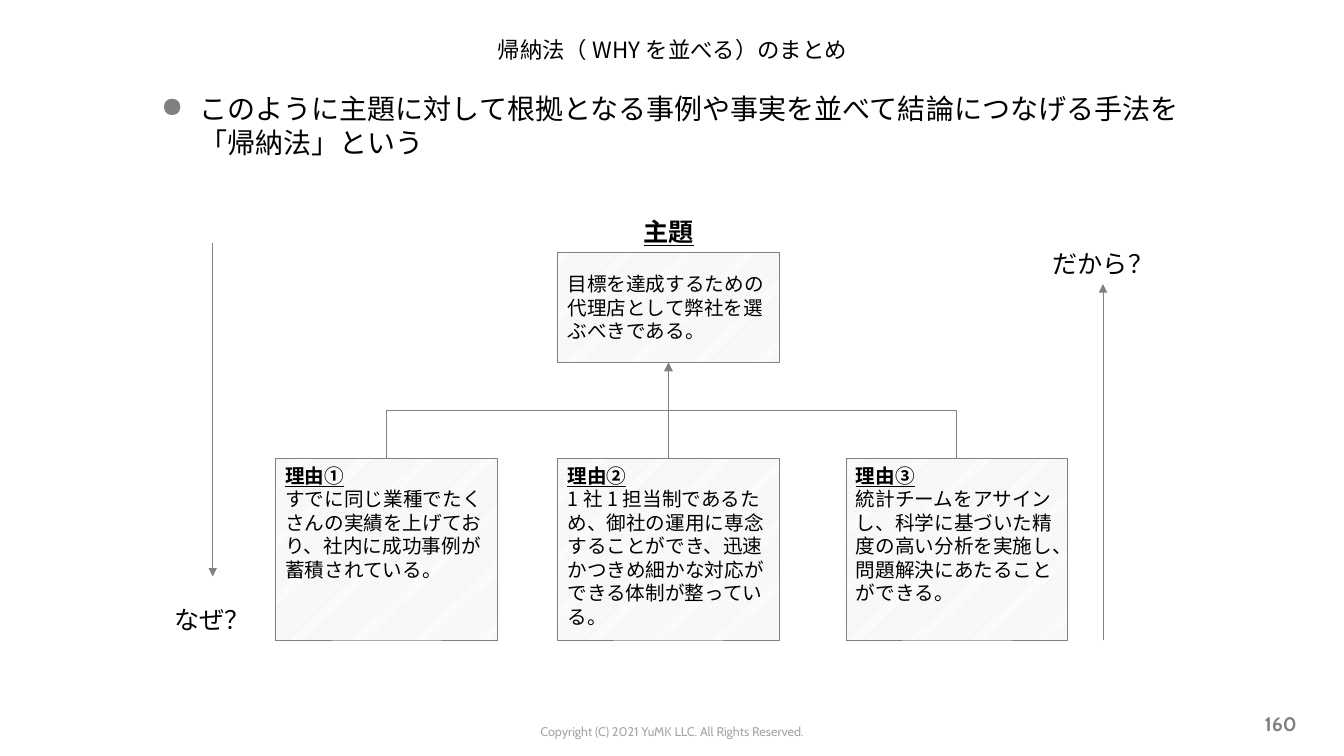
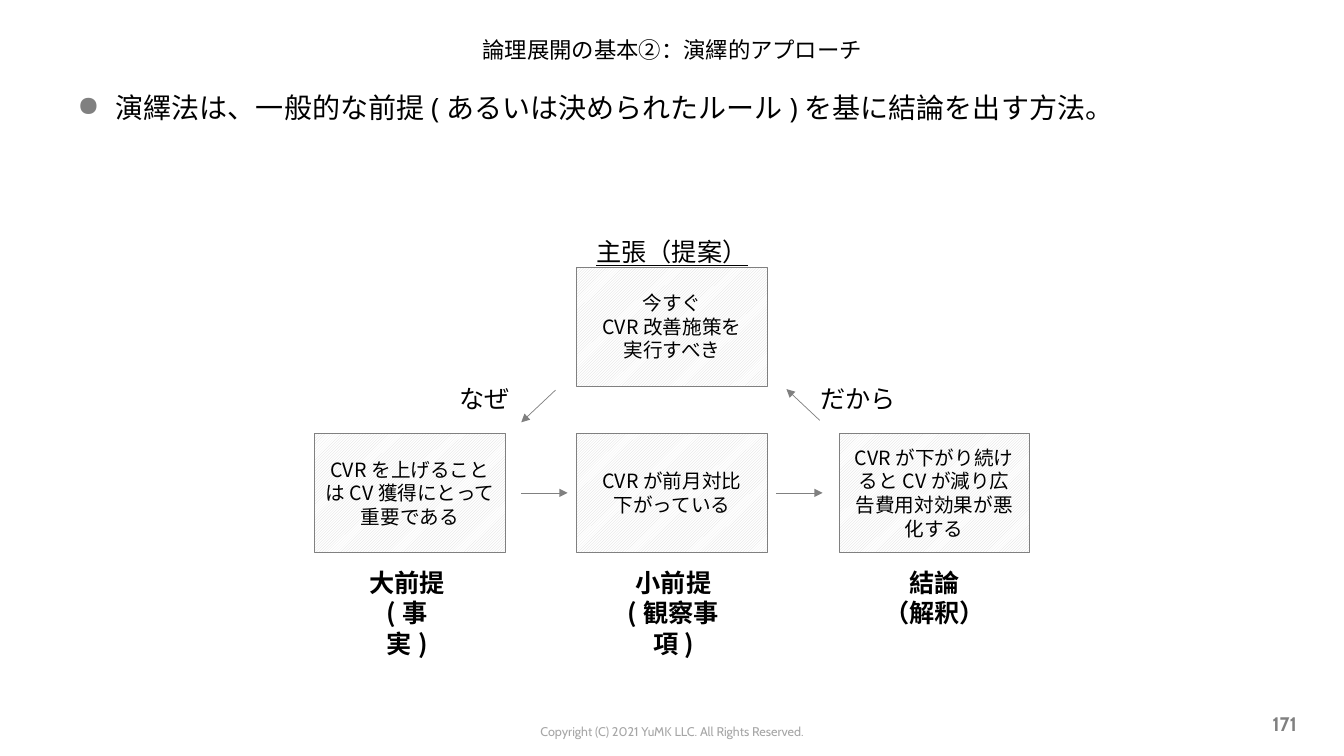
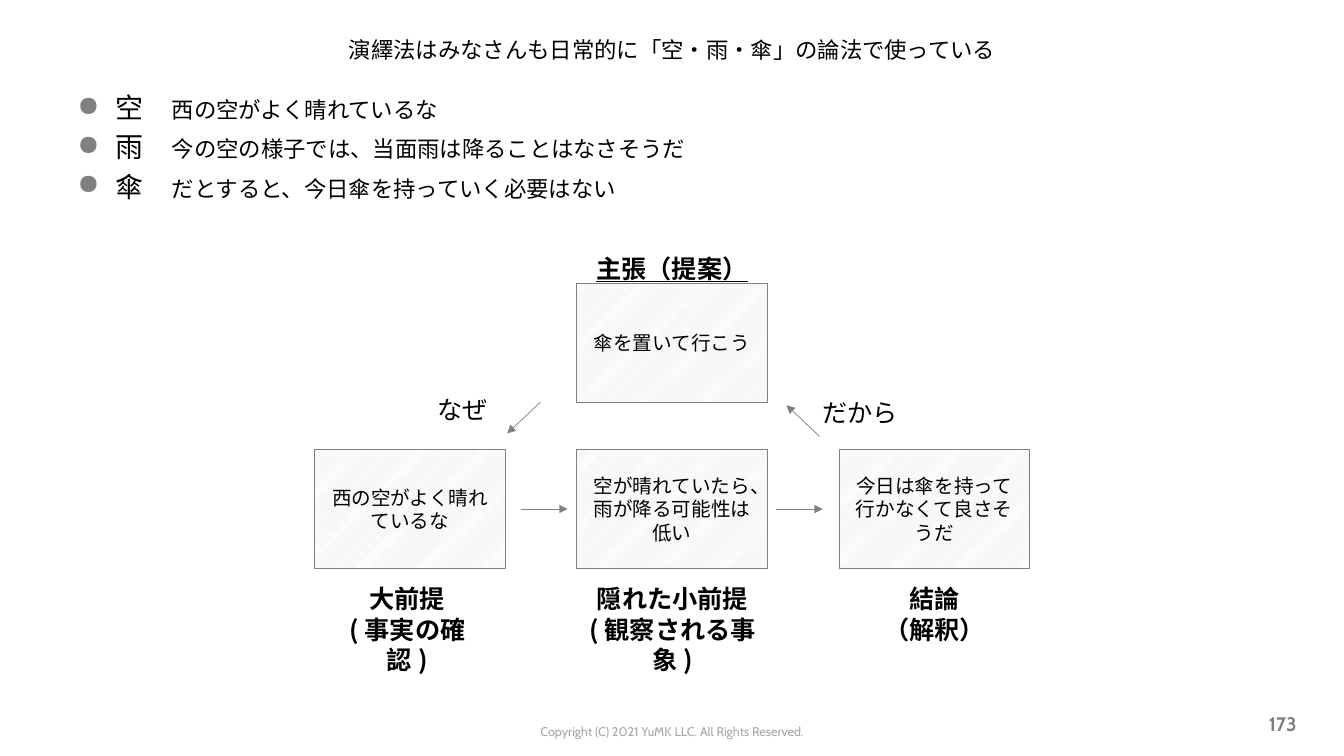
from dataclasses import dataclass
from typing import NamedTuple

from lxml.etree import SubElement
from pptx import Presentation
from pptx.dml.color import RGBColor
from pptx.enum.dml import MSO_PATTERN
from pptx.enum.shapes import MSO_CONNECTOR as LINK, MSO_SHAPE
from pptx.enum.text import MSO_ANCHOR as ANCHOR, MSO_AUTO_SIZE as FIT, PP_ALIGN as ALIGN
from pptx.oxml.ns import qn
from pptx.util import Inches, Pt

# Shared style
BLACK = RGBColor(0x00, 0x00, 0x00)
WHITE = RGBColor(0xFF, 0xFF, 0xFF)
GRAY = RGBColor(0x80, 0x80, 0x80)
HATCH = RGBColor(0xD9, 0xD9, 0xD9)
FOOTER_GRAY = RGBColor(0xA6, 0xA6, 0xA6)
JAPANESE = "Noto Sans CJK JP"
BODY_LATIN = "Open Sans"
FOOTER_FONT = "Cabin"
COPYRIGHT = "Copyright (C) 2021 YuMK LLC. All Rights Reserved."


class Area(NamedTuple):
    left: float
    top: float
    width: float
    height: float


class Point(NamedTuple):
    x: float
    y: float


class Run(NamedTuple):
    text: str
    size: float = 14
    bold: bool = False
    underline: bool = False
    font: str = JAPANESE
    color: RGBColor = BLACK


class Caption(NamedTuple):
    center: float
    width: float
    lines: tuple[str, str]


Paragraphs = list[list[Run]]


@dataclass
class Deduction:
    top: float
    claim: list[str]
    claim_bold: bool
    steps: list[list[str]]
    captions: list[Caption]
    why_label: Point
    why_arrow: tuple[Point, Point]
    so_label: Point


# Text and shape helpers
def write(frame, paragraphs: Paragraphs, align=ALIGN.LEFT, anchor=ANCHOR.TOP,
          bullets: bool = False) -> None:
    frame.vertical_anchor = anchor
    for index, runs in enumerate(paragraphs):
        paragraph = frame.add_paragraph() if index else frame.paragraphs[0]
        if bullets:
            add_bullet(paragraph)
            if index:
                paragraph.space_before = Pt(4)
        paragraph.alignment = align
        for part in runs:
            run = paragraph.add_run()
            run.text = part.text
            font = run.font
            font.size, font.name = Pt(part.size), part.font
            font.bold, font.underline = part.bold, part.underline
            font.color.rgb = part.color
            east_asian = SubElement(run._r.get_or_add_rPr(), qn("a:ea"))
            east_asian.set("typeface", JAPANESE)


def add_bullet(paragraph) -> None:
    properties = paragraph._p.get_or_add_pPr()
    properties.set("marL", str(Inches(0.38)))
    properties.set("indent", str(-Inches(0.38)))
    color = SubElement(properties, qn("a:buClr"))
    SubElement(color, qn("a:srgbClr")).set("val", str(GRAY))
    SubElement(properties, qn("a:buChar")).set("char", "●")


def add_text(slide, area: Area, paragraphs: Paragraphs, align=ALIGN.LEFT,
             anchor=ANCHOR.TOP, bullets: bool = False) -> None:
    frame = slide.shapes.add_textbox(*map(Inches, area)).text_frame
    frame.word_wrap = True
    write(frame, paragraphs, align, anchor, bullets)


def add_label(slide, area: Area, lines: tuple[str, ...], align=ALIGN.LEFT,
              bold: bool = False, underline: bool = False) -> None:
    frame = slide.shapes.add_textbox(*map(Inches, area)).text_frame
    frame.word_wrap = False
    frame.auto_size = FIT.SHAPE_TO_FIT_TEXT
    write(frame, [[Run(line, 18, bold, underline)] for line in lines], align)


def add_box(slide, area: Area, paragraphs: Paragraphs, align=ALIGN.LEFT,
            anchor=ANCHOR.MIDDLE):
    box = slide.shapes.add_shape(MSO_SHAPE.RECTANGLE, *map(Inches, area))
    box.shadow.inherit = False
    box.fill.patterned()
    box.fill.pattern = MSO_PATTERN.LIGHT_UPWARD_DIAGONAL
    box.fill.fore_color.rgb, box.fill.back_color.rgb = HATCH, WHITE
    box.line.color.rgb, box.line.width = GRAY, Pt(0.5)
    box.text_frame.word_wrap = True
    write(box.text_frame, paragraphs, align, anchor)
    return box


def add_arrow(slide, start: Point, end: Point, kind=LINK.STRAIGHT):
    arrow = slide.shapes.add_connector(kind, *map(Inches, (*start, *end)))
    arrow.line.color.rgb, arrow.line.width = GRAY, Pt(0.5)
    SubElement(arrow.line._get_or_add_ln(), qn("a:tailEnd")).set("type", "triangle")
    SubElement(arrow._element.spPr, qn("a:effectLst"))
    return arrow


def add_rising_elbow(slide, start: Point, end: Point) -> None:
    """Elbow that leaves upwards: a sideways one, turned by a quarter."""
    from_left = start.x < end.x
    center = Point((start.x + end.x) / 2, (start.y + end.y) / 2)
    half_rise, half_run = (start.y - end.y) / 2, abs(end.x - start.x) / 2
    side = half_rise if from_left else -half_rise
    elbow = add_arrow(slide, Point(center.x + side, center.y + half_run),
                      Point(center.x - side, center.y - half_run), LINK.ELBOW)
    turn = 90 if from_left else 270
    elbow._element.spPr.find(qn("a:xfrm")).set("rot", str(turn * 60000))


def add_page(deck, title: str, number: int, body: Paragraphs,
             body_area: Area = Area(0.67, 0.85, 12, 5.79)):
    slide = deck.slides.add_slide(deck.slide_layouts[6])
    add_text(slide, Area(4.2, 7.13, 4.93, 0.25),
             [[Run(COPYRIGHT, 9, font=FOOTER_FONT, color=FOOTER_GRAY)]], ALIGN.CENTER)
    add_text(slide, Area(0.67, 0.22, 12, 0.54), [[Run(title, 16)]],
             ALIGN.CENTER, ANCHOR.MIDDLE)
    add_text(slide, Area(9.85, 6.98, 3.11, 0.4),
             [[Run(str(number), 14, True, font=FOOTER_FONT, color=GRAY)]],
             ALIGN.RIGHT, ANCHOR.MIDDLE)
    add_text(slide, body_area, body, bullets=True)
    return slide


# Diagrams
def draw_induction(slide, theme: str, reasons: list[tuple[str, str]]) -> None:
    width, reason_top, reason_height = 2.2, 4.55, 1.8
    theme_area = Area(5.53, 2.5, width, 1.1)
    theme_box = add_box(slide, theme_area, [[Run(theme)]])
    add_label(slide, Area(6.28, 2.1, 0.71, 0.4), ("主題",), ALIGN.CENTER, True, True)
    theme_foot = Point(theme_area.left + width / 2, theme_area.top + theme_area.height)

    for left, (heading, detail) in zip((2.73, 5.53, 8.39), reasons):
        reason_box = add_box(slide, Area(left, reason_top, width, reason_height),
                             [[Run(heading, bold=True, underline=True)], [Run(detail)]],
                             anchor=ANCHOR.TOP)
        reason_head = Point(left + width / 2, reason_top)
        if left == theme_area.left:
            arrow = add_arrow(slide, reason_head, theme_foot)
            arrow.begin_connect(reason_box, 0)
            arrow.end_connect(theme_box, 2)
        else:
            add_rising_elbow(slide, reason_head, theme_foot)

    add_arrow(slide, Point(2.11, 2.41), Point(2.11, 5.72))
    add_label(slide, Area(1.63, 5.95, 0.96, 0.4), ("なぜ？",))
    add_arrow(slide, Point(10.94, 6.35), Point(10.94, 2.82))
    add_label(slide, Area(10.34, 2.41, 1.21, 0.4), ("だから？",))


def draw_deduction(slide, plan: Deduction) -> None:
    left, pitch, width, height = 3.12, 2.6, 1.89, 1.18
    step_top = plan.top + 1.65
    places = [(left + pitch, plan.top)] + [(left + i * pitch, step_top) for i in range(3)]
    for (x, y), lines in zip(places, [plan.claim, *plan.steps]):
        add_box(slide, Area(x, y, width, height), [[Run(line)] for line in lines],
                ALIGN.CENTER)

    add_label(slide, Area(5.8, plan.top - 0.35, 1.73, 0.4), ("主張（提案）",),
              ALIGN.CENTER, plan.claim_bold, True)
    for center, caption_width, lines in plan.captions:
        add_label(slide, Area(center - caption_width / 2, plan.top + 2.93,
                              caption_width, 0.71), lines, ALIGN.CENTER, True)

    # Arrows around the loop
    for x in (5.17, 7.7):
        add_arrow(slide, Point(x, plan.top + 2.24), Point(x + 0.46, plan.top + 2.24))
    add_arrow(slide, Point(8.13, plan.top + 1.52), Point(7.8, plan.top + 1.21))
    add_arrow(slide, *plan.why_arrow)
    add_label(slide, Area(*plan.why_label, 0.71, 0.4), ("なぜ",))
    add_label(slide, Area(*plan.so_label, 0.96, 0.4), ("だから",))


# Content
REASONS = [
    ("理由①", "すでに同じ業種でたくさんの実績を上げており、社内に成功事例が蓄積されている。"),
    ("理由②", "1社1担当制であるため、御社の運用に専念することができ、"
              "迅速かつきめ細かな対応ができる体制が整っている。"),
    ("理由③", "統計チームをアサインし、科学に基づいた精度の高い分析を実施し、"
              "問題解決にあたることができる。"),
]
CONVERSION = Deduction(
    top=2.65,
    claim=["今すぐ", "CVR改善施策を", "実行すべき"],
    claim_bold=False,
    steps=[["CVRを上げることはCV獲得にとって重要である"],
           ["CVRが前月対比", "下がっている"],
           ["CVRが下がり続けるとCVが減り広告費用対効果が悪化する"]],
    captions=[Caption(4.04, 0.96, ("大前提", "(事実)")),
              Caption(6.68, 1.42, ("小前提", "(観察事項)")),
              Caption(9.27, 1.22, ("結論", "（解釈）"))],
    why_label=Point(4.46, 3.75),
    why_arrow=(Point(5.51, 3.87), Point(5.17, 4.19)),
    so_label=Point(8.04, 3.75),
)
UMBRELLA = Deduction(
    top=2.81,
    claim=["傘を置いて行こう"],
    claim_bold=True,
    steps=[["西の空がよく晴れているな"],
           ["空が晴れていたら、雨が降る可能性は低い"],
           ["今日は傘を持って行かなくて良さそうだ"]],
    captions=[Caption(4.04, 1.68, ("大前提", "(事実の確認)")),
              Caption(6.67, 2.2, ("隠れた小前提", "(観察される事象)")),
              Caption(9.27, 1.22, ("結論", "（解釈）"))],
    why_label=Point(4.24, 3.86),
    why_arrow=(Point(5.36, 3.99), Point(5.03, 4.3)),
    so_label=Point(8.06, 3.89),
)
SKY_RAIN_UMBRELLA = [
    ("空　", "西の空がよく晴れているな"),
    ("雨　", "今の空の様子では、当面雨は降ることはなさそうだ"),
    ("傘　", "だとすると、今日傘を持っていく必要はない"),
]


def main() -> None:
    deck = Presentation()
    deck.slide_width, deck.slide_height = Inches(13.33), Inches(7.5)

    induction = add_page(
        deck, "帰納法（WHYを並べる）のまとめ", 160,
        [[Run("このように主題に対して根拠となる事例や事実を並べて"
              "結論につなげる手法を「帰納法」という", 20)]],
        Area(1.5, 0.86, 10.34, 5.79))
    draw_induction(induction, "目標を達成するための代理店として弊社を選ぶべきである。", REASONS)

    conversion = add_page(
        deck, "論理展開の基本②：演繹的アプローチ", 171,
        [[Run("演繹法は、一般的な前提(あるいは決められたルール)を基に結論を出す方法。",
              20, font=BODY_LATIN)]])
    draw_deduction(conversion, CONVERSION)

    umbrella = add_page(
        deck, "演繹法はみなさんも日常的に「空・雨・傘」の論法で使っている", 173,
        [[Run(word, 20), Run(sentence, 16)] for word, sentence in SKY_RAIN_UMBRELLA])
    draw_deduction(umbrella, UMBRELLA)

    deck.save("out.pptx")


if __name__ == "__main__":
    main()
